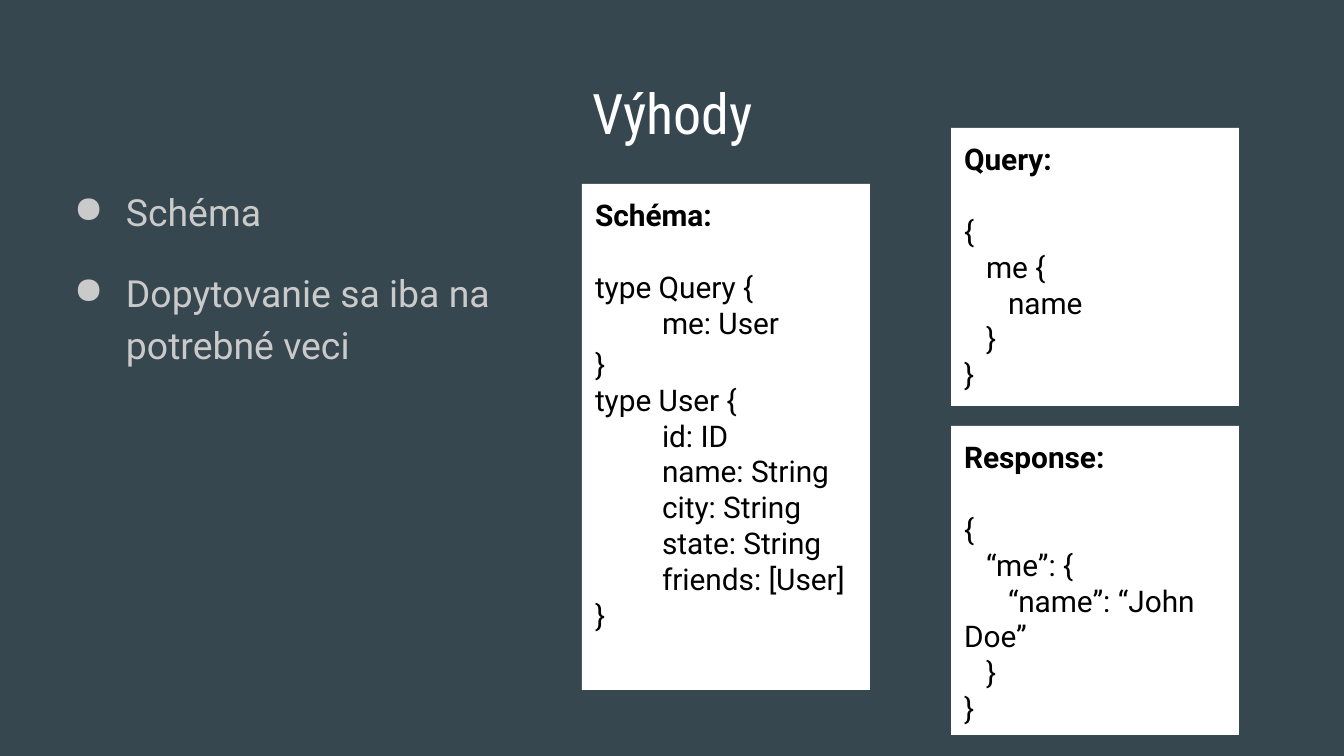
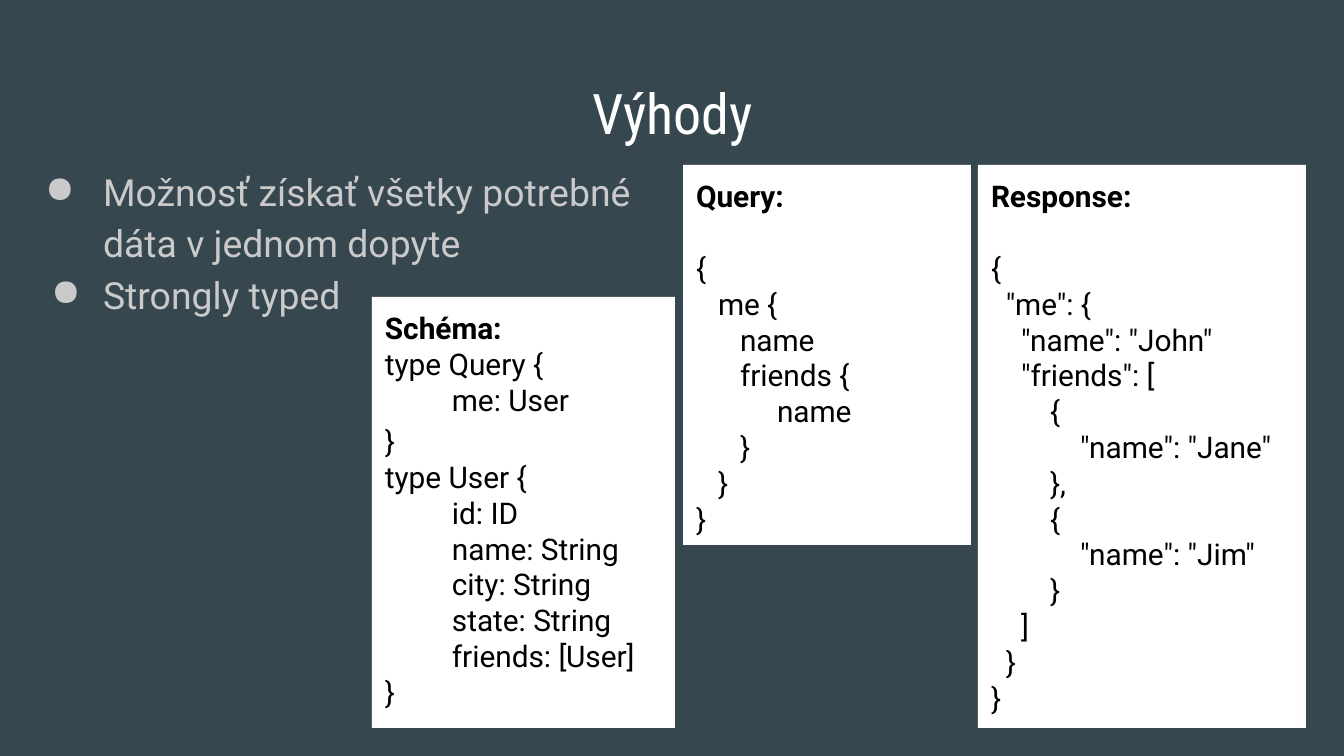
from lxml import etree
from pptx import Presentation
from pptx.dml.color import RGBColor
from pptx.enum.shapes import MSO_SHAPE
from pptx.enum.text import MSO_ANCHOR, MSO_AUTO_SIZE, PP_ALIGN
from pptx.oxml.ns import qn
from pptx.util import Pt

RECTANGLE = MSO_SHAPE.RECTANGLE
TOP = MSO_ANCHOR.TOP
LEFT, CENTER = PP_ALIGN.LEFT, PP_ALIGN.CENTER
NO_AUTOFIT = MSO_AUTO_SIZE.NONE

EMU_PER_PX = 914400 / 134.4
SLIDE_WIDTH, SLIDE_HEIGHT = 1344, 756
TITLE_ONLY = 5
INSET = 13
TAB = 67
LOOSE = 1.15
BLANK_LINE = 19.2

COLORS = {
    "background": "37474F",
    "title": "FFFFFF",
    "bullet": "CACACA",
    "card": "FFFFFF",
    "code": "000000",
}
BODY_FONT, TITLE_FONT = "Roboto", "Roboto Condensed"

# Code lines are (first-line indent in px, text).
SCHEMA = [
    (0, "type Query {"),
    (TAB, "me: User"),
    (0, "}"),
    (0, "type User {"),
    (TAB, "id: ID"),
    (TAB, "name: String"),
    (TAB, "city: String"),
    (TAB, "state: String"),
    (TAB, "friends: [User]"),
    (0, "}"),
]
NAME_QUERY = [(0, "{"), (22, "me {"), (44, "name"), (22, "}"), (0, "}")]
NAME_RESPONSE = [
    (0, "{"),
    (22, "“me”: {"),
    (44, "“name”: “John Doe”"),
    (22, "}"),
    (0, "}"),
]
FRIENDS_QUERY = [
    (0, "{"),
    (22, "me {"),
    (44, "name"),
    (44, "friends {"),
    (81, "name"),
    (44, "}"),
    (22, "}"),
    (0, "}"),
]
FRIENDS_RESPONSE = [
    (0, "{"),
    (15, "\"me\": {"),
    (30, "\"name\": \"John\""),
    (30, "\"friends\": ["),
    (59, "{"),
    (89, "\"name\": \"Jane\""),
    (59, "},"),
    (59, "{"),
    (89, "\"name\": \"Jim\""),
    (59, "}"),
    (30, "]"),
    (15, "}"),
    (0, "}"),
]


def px(length):
    return round(length * EMU_PER_PX)


def rgb(name):
    return RGBColor.from_string(COLORS[name])


def place(shape, box):
    shape.left, shape.top, shape.width, shape.height = map(px, box)


def prepare_frame(shape):
    frame = shape.text_frame
    frame.word_wrap = True
    frame.auto_size = NO_AUTOFIT
    frame.vertical_anchor = TOP
    frame.margin_left = frame.margin_right = px(INSET)
    frame.margin_top = frame.margin_bottom = px(INSET)
    return frame


def add_text(frame, text, *, size, color, font=BODY_FONT, bold=False,
             align=LEFT, margin=0, indent=0, spacing=1.0, before=0, after=0):
    """Fill the first paragraph if it is empty, else append one."""
    paragraph = frame.paragraphs[0]
    if paragraph.runs:
        paragraph = frame.add_paragraph()
    paragraph.alignment = align
    paragraph.line_spacing = spacing
    paragraph.space_before, paragraph.space_after = Pt(before), Pt(after)
    properties = paragraph._p.get_or_add_pPr()
    properties.set("marL", str(px(margin)))
    properties.set("indent", str(px(indent)))
    run = paragraph.add_run()
    run.text = text
    run.font.name, run.font.size, run.font.bold = font, Pt(size), bold
    run.font.color.rgb = rgb(color)
    return paragraph


def set_bullet(paragraph, color):
    properties = paragraph._p.get_or_add_pPr()
    bullet_color = etree.SubElement(properties, qn("a:buClr"))
    etree.SubElement(bullet_color, qn("a:srgbClr"), val=COLORS[color])
    etree.SubElement(properties, qn("a:buChar"), char="●")


def add_titled_slide(presentation, title):
    slide = presentation.slides.add_slide(presentation.slide_layouts[TITLE_ONLY])
    place(slide.shapes.title, (46, 66, 1253, 84))
    frame = prepare_frame(slide.shapes.title)
    add_text(frame, title, size=30, color="title", font=TITLE_FONT, align=CENTER)
    return slide


def add_bullets(slide, box, items, gap=0):
    """Add a bulleted list from (text, hanging indent) items."""
    frame = prepare_frame(slide.shapes.add_textbox(*map(px, box)))
    for index, (text, hanging) in enumerate(items):
        paragraph = add_text(frame, text, size=20, color="bullet", margin=TAB,
                             indent=-hanging, spacing=LOOSE,
                             before=gap if index else 0)
        set_bullet(paragraph, "bullet")


def add_code_card(slide, box, heading, lines, gap=BLANK_LINE, loose_line=None):
    """Add a white card; loose_line is the index of a line with wider spacing."""
    card = slide.shapes.add_shape(RECTANGLE, *map(px, box))
    card.shadow.inherit = False
    card.fill.solid()
    card.fill.fore_color.rgb = rgb("card")
    card.line.fill.background()
    frame = prepare_frame(card)
    add_text(frame, heading, size=16, color="code", bold=True, after=gap)
    for index, (indent, text) in enumerate(lines):
        add_text(frame, text, size=16, color="code", indent=indent,
                 spacing=LOOSE if index == loose_line else 1.0)


def build_selective_query_slide(presentation):
    slide = add_titled_slide(presentation, "Výhody")
    add_bullets(slide, (46, 169, 501, 237),
                [("Schéma", 52), ("Dopytovanie sa iba na potrebné veci", 52)],
                gap=16)
    add_code_card(slide, (582, 184, 288, 506), "Schéma:", SCHEMA, loose_line=2)
    add_code_card(slide, (951, 128, 288, 278), "Query:", NAME_QUERY)
    add_code_card(slide, (951, 426, 288, 309), "Response:", NAME_RESPONSE)


def build_single_request_slide(presentation):
    slide = add_titled_slide(presentation, "Výhody")
    add_bullets(slide, (23, 149, 622, 237),
                [("Možnosť získať všetky potrebné dáta v jednom dopyte", 58),
                 ("Strongly typed", 52)])
    add_code_card(slide, (372, 297, 303, 431), "Schéma:", SCHEMA,
                  gap=0, loose_line=2)
    add_code_card(slide, (683, 165, 288, 380), "Query:", FRIENDS_QUERY)
    add_code_card(slide, (978, 165, 328, 563), "Response:", FRIENDS_RESPONSE)


def main():
    presentation = Presentation()
    presentation.slide_width = px(SLIDE_WIDTH)
    presentation.slide_height = px(SLIDE_HEIGHT)
    background = presentation.slide_master.background.fill
    background.solid()
    background.fore_color.rgb = rgb("background")
    build_selective_query_slide(presentation)
    build_single_request_slide(presentation)
    presentation.save("out.pptx")


if __name__ == "__main__":
    main()
